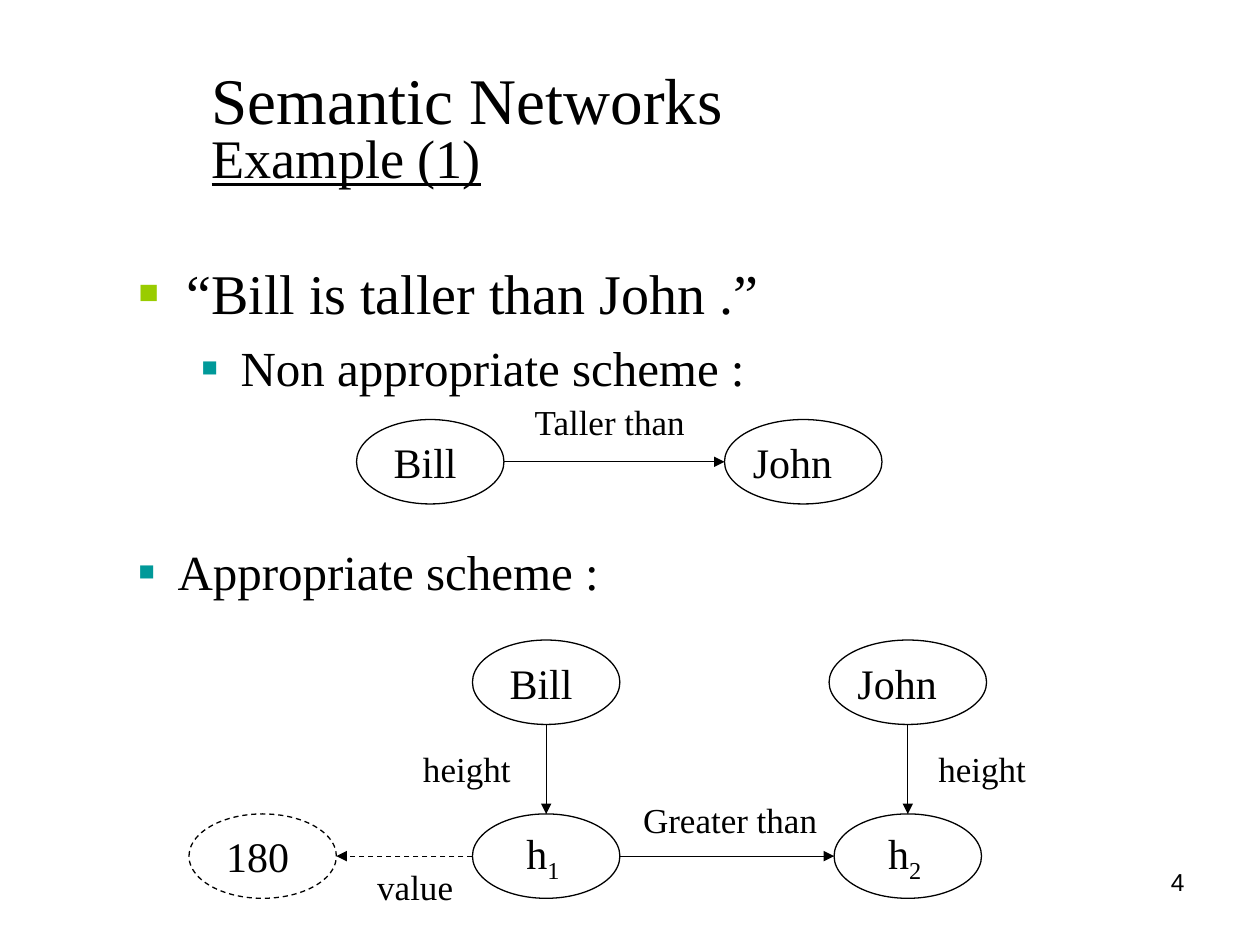
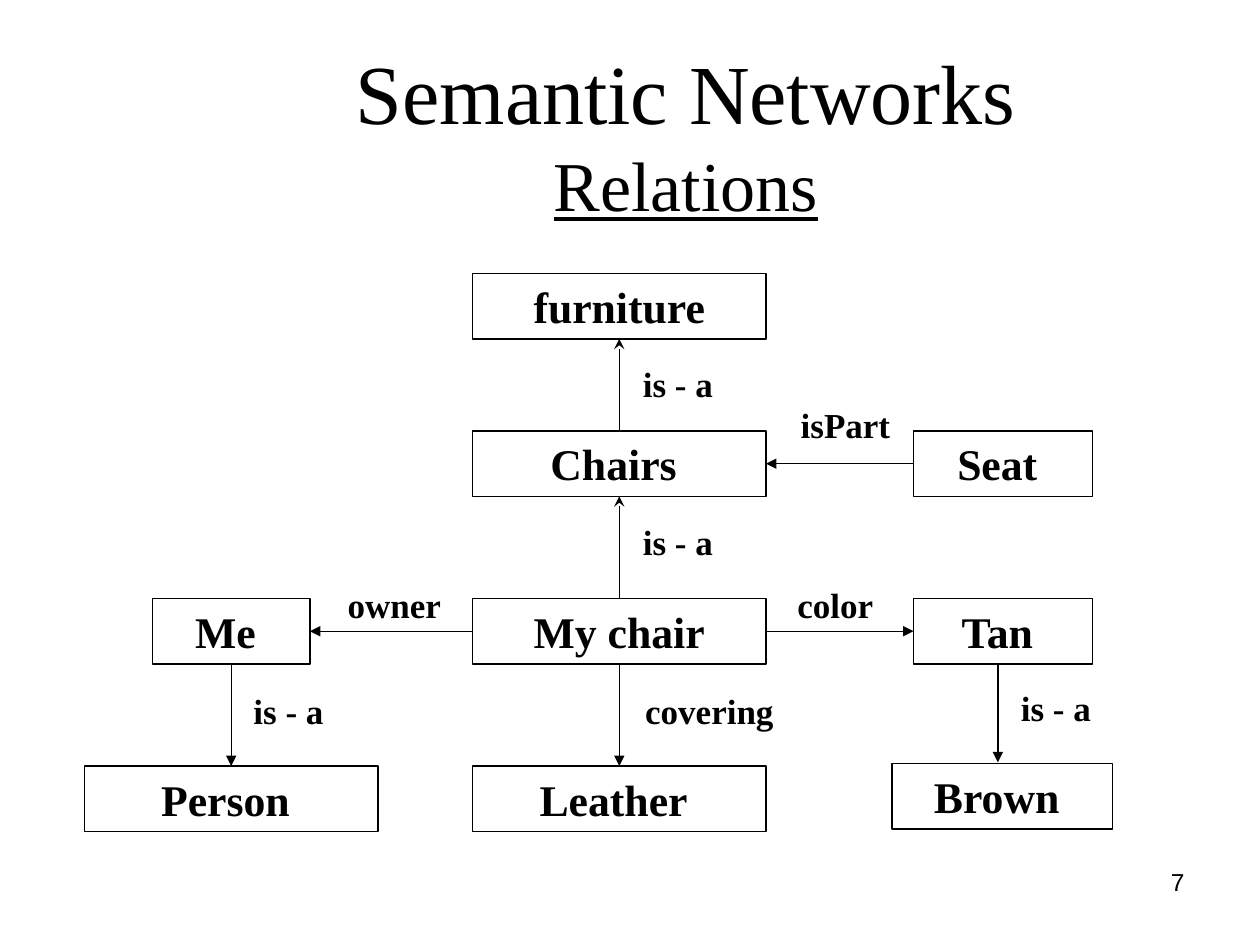
"""Builds two slides on semantic networks: an example and a set of relations."""
from dataclasses import dataclass
from typing import Any

from lxml import etree
from pptx import Presentation
from pptx.dml.color import RGBColor
from pptx.enum.dml import MSO_LINE
from pptx.enum.shapes import MSO_CONNECTOR, MSO_SHAPE
from pptx.enum.text import MSO_ANCHOR, MSO_AUTO_SIZE, PP_ALIGN
from pptx.oxml.ns import qn
from pptx.util import Inches, Pt

ELLIPSE, RECTANGLE = MSO_SHAPE.OVAL, MSO_SHAPE.RECTANGLE
STRAIGHT, DASH = MSO_CONNECTOR.STRAIGHT, MSO_LINE.DASH
LEFT_ALIGN, CENTER, RIGHT_ALIGN = PP_ALIGN.LEFT, PP_ALIGN.CENTER, PP_ALIGN.RIGHT
TOP_ANCHOR, MIDDLE = MSO_ANCHOR.TOP, MSO_ANCHOR.MIDDLE
TOP, LEFT, BOTTOM, RIGHT = range(4)
TWO_CONTENT, TITLE_ONLY = 3, 5


@dataclass(frozen=True)
class Theme:
    """Colours, fonts and type sizes of the deck."""
    ink: str = "000000"
    first_bullet: str = "99CC00"
    second_bullet: str = "009999"
    serif: str = "Times New Roman"
    sans: str = "Arial"
    ellipse_text: float = 24
    box_text: float = 25
    label_text: float = 20
    number_text: float = 14
    line_width: float = 0.75


@dataclass(frozen=True)
class Bullet:
    """A bulleted line with its level's look."""
    text: str
    level: int
    size: float
    before: float
    margin: float
    hang: float
    color: str
    percent: int


@dataclass(frozen=True)
class Node:
    """A concept of the network; gap is extra room right of its text."""
    text: str
    left: float
    top: float
    width: float
    height: float
    gap: float = 0
    sub: str = ""
    kind: Any = ELLIPSE
    dashed: bool = False

    def side(self, index: int) -> tuple[float, float]:
        """Return the middle of one side."""
        x, y = self.left + self.width / 2, self.top + self.height / 2
        return ((x, self.top), (self.left, y),
                (x, self.top + self.height), (self.left + self.width, y))[index]


@dataclass(frozen=True)
class Link:
    """An arrow between the sides of two named nodes."""
    start: str
    start_side: int
    end: str
    end_side: int
    head: str = "triangle"
    dashed: bool = False


@dataclass(frozen=True)
class Label:
    """The caption of an arrow."""
    text: str
    left: float
    top: float
    gap: float = 0


THEME = Theme()


def assign(target: Any, values: dict[str, Any]) -> None:
    """Set several attributes at once."""
    for key, value in values.items():
        setattr(target, key, value)


def add_run(paragraph: Any, text: str, size: float, font: str = THEME.serif, **style: Any) -> Any:
    """Add a styled run."""
    run = paragraph.add_run()
    run.text = text
    assign(run.font, {"name": font, "size": Pt(size), **style})
    run.font.color.rgb = RGBColor.from_string(THEME.ink)
    return run


def set_frame(frame: Any, anchor: Any = TOP_ANCHOR, left: float = 0.1, right: float = 0.1) -> None:
    """Give a text frame its insets, anchor and wrapping."""
    assign(frame, {"word_wrap": True, "auto_size": MSO_AUTO_SIZE.NONE, "vertical_anchor": anchor,
                   "margin_left": Inches(left), "margin_right": Inches(right),
                   "margin_top": Inches(0.05), "margin_bottom": Inches(0.05)})


def place(shape: Any, left: float, top: float, width: float, height: float) -> None:
    """Move and size a placeholder."""
    assign(shape, {"left": Inches(left), "top": Inches(top),
                   "width": Inches(width), "height": Inches(height)})


def style_line(line: Any, dashed: bool) -> None:
    """Give an outline the deck's stroke."""
    line.color.rgb = RGBColor.from_string(THEME.ink)
    line.width = Pt(THEME.line_width)
    if dashed:
        line.dash_style = DASH


def add_title(slide: Any, topic: str, area: tuple[float, ...], sizes: tuple[float, float],
              align: Any, spacing: float) -> None:
    """Fill the title with the subject and an underlined topic."""
    title = slide.shapes.title
    place(title, *area)
    set_frame(title.text_frame, MIDDLE)
    paragraph = title.text_frame.paragraphs[0]
    assign(paragraph, {"alignment": align, "line_spacing": spacing})
    add_run(paragraph, "Semantic Networks", sizes[0])
    paragraph.add_line_break()
    etree.SubElement(paragraph._p[-1], qn("a:rPr"), sz=str(round(sizes[0] * 100)))
    add_run(paragraph, topic, sizes[1], underline=True)


def add_bullets(body: Any, area: tuple[float, ...], bullets: list[Bullet]) -> None:
    """Fill a body placeholder with bulleted lines."""
    place(body, *area)
    frame = body.text_frame
    set_frame(frame)
    for index, bullet in enumerate(bullets):
        paragraph = frame.add_paragraph() if index else frame.paragraphs[0]
        assign(paragraph, {"level": bullet.level, "space_before": Pt(bullet.before)})
        properties = paragraph._p.get_or_add_pPr()
        properties.set("marL", str(Inches(bullet.margin)))
        properties.set("indent", str(-Inches(bullet.hang)))
        color = etree.SubElement(properties, qn("a:buClr"))
        etree.SubElement(color, qn("a:srgbClr"), val=bullet.color)
        etree.SubElement(properties, qn("a:buSzPct"), val=str(bullet.percent * 1000))
        etree.SubElement(properties, qn("a:buChar"), char="■")
        add_run(paragraph, bullet.text, bullet.size)


def add_text(slide: Any, text: str, area: tuple[float, ...], size: float, align: Any,
             font: str = THEME.serif, gap: float = 0, bold: bool = False) -> None:
    """Add a one-line text box."""
    box = slide.shapes.add_textbox(*map(Inches, area))
    set_frame(box.text_frame, right=0.1 + gap)
    paragraph = box.text_frame.paragraphs[0]
    paragraph.alignment = align
    add_run(paragraph, text, size, font, bold=bold)


def add_node(slide: Any, node: Node) -> Any:
    """Draw a concept as an ellipse or a box."""
    shape = slide.shapes.add_shape(
        node.kind, *map(Inches, (node.left, node.top, node.width, node.height)))
    shape.shadow.inherit = False
    shape.fill.background()
    style_line(shape.line, node.dashed)
    boxed = node.kind == RECTANGLE
    set_frame(shape.text_frame, TOP_ANCHOR if boxed else MIDDLE, 0, node.gap)
    paragraph = shape.text_frame.paragraphs[0]
    paragraph.alignment = CENTER
    size = THEME.box_text if boxed else THEME.ellipse_text
    add_run(paragraph, node.text, size, bold=boxed)
    if node.sub:
        index = add_run(paragraph, node.sub, size)
        index._r.get_or_add_rPr().set("baseline", "-25000")
    return shape


def add_arrow(slide: Any, start: tuple[float, float], end: tuple[float, float],
              head: str = "triangle", dashed: bool = False) -> Any:
    """Draw a straight arrow."""
    arrow = slide.shapes.add_connector(STRAIGHT, *map(Inches, (*start, *end)))
    style_line(arrow.line, dashed)
    properties = arrow.element.spPr
    etree.SubElement(properties.find(qn("a:ln")), qn("a:tailEnd"), type=head)
    etree.SubElement(properties, qn("a:effectLst"))
    return arrow


def add_network(slide: Any, nodes: dict[str, Node], links: list[Link], labels: list[Label],
                label_width: float, bold: bool = False) -> None:
    """Draw concepts, their arrows and the arrows' captions."""
    shapes = {key: add_node(slide, node) for key, node in nodes.items()}
    for link in links:
        start, end = nodes[link.start], nodes[link.end]
        arrow = add_arrow(slide, start.side(link.start_side), end.side(link.end_side),
                          link.head, link.dashed)
        if start.kind == end.kind == RECTANGLE:
            arrow.begin_connect(shapes[link.start], link.start_side)
            arrow.end_connect(shapes[link.end], link.end_side)
    for label in labels:
        add_text(slide, label.text, (label.left, label.top, label_width, 0.44),
                 THEME.label_text, CENTER, gap=label.gap, bold=bold)


def add_number(slide: Any, number: int) -> None:
    """Write the slide number at the lower right."""
    add_text(slide, str(number), (7.17, 6.83, 2.33, 0.52), THEME.number_text, RIGHT_ALIGN, THEME.sans)


def ellipse(text: str, left: float, top: float, width: float = 1.17, gap: float = 0.08,
            sub: str = "", dashed: bool = False) -> Node:
    """Describe an ellipse concept."""
    return Node(text, left, top, width, 0.67, gap, sub, dashed=dashed)


def box(text: str, left: float, top: float, width: float = 2.33, gap: float = 0.09) -> Node:
    """Describe a boxed concept."""
    return Node(text, left, top, width, 0.52, gap, kind=RECTANGLE)


def build_example(deck: Any) -> None:
    """Build the example of Bill and John."""
    slide = deck.slides.add_slide(deck.slide_layouts[TWO_CONTENT])
    add_number(slide, 4)
    add_title(slide, "Example (1)", (1.58, 0.42, 6.5, 1.25), (37.2, 31), LEFT_ALIGN, 0.8)

    def scheme(text: str) -> Bullet:
        """Describe a second-level line."""
        return Bullet(text, 1, 28, 7, 0.81, 0.31, THEME.second_bullet, 55)

    statement = Bullet("“Bill is taller than John .”", 0, 32, 8, 0.38, 0.38, THEME.first_bullet, 60)
    add_bullets(slide.placeholders[1], (1, 2, 9, 1.42),
                [statement, scheme("Non appropriate scheme :")])
    add_bullets(slide.placeholders[2], (0.5, 4.25, 9, 0.58), [scheme("Appropriate scheme :")])

    direct_top, people_top, heights_top = 3.33, 5.08, 6.46
    add_network(slide,
                {"bill": ellipse("Bill", 2.83, direct_top),
                 "john": ellipse("John", 5.75, direct_top, 1.25, 0.17)},
                [Link("bill", RIGHT, "john", LEFT)],
                [Label("Taller than", 4, 3.13, 0.07)], 1.75)
    add_network(slide,
                {"bill": ellipse("Bill", 3.75, people_top),
                 "john": ellipse("John", 6.58, people_top, 1.25, 0.17),
                 "h1": ellipse("h", 3.75, heights_top, gap=0.05, sub="1"),
                 "h2": ellipse("h", 6.62, heights_top, gap=0.05, sub="2"),
                 "180": ellipse("180", 1.5, heights_top, dashed=True)},
                [Link("bill", BOTTOM, "h1", TOP), Link("john", BOTTOM, "h2", TOP),
                 Link("h1", RIGHT, "h2", LEFT), Link("h1", LEFT, "180", RIGHT, dashed=True)],
                [Label("height", 2.83, 5.88), Label("height", 6.92, 5.88),
                 Label("Greater than", 4.92, 6.29), Label("value", 2.42, 6.82)], 1.75)


def build_relations(deck: Any) -> None:
    """Build the network of relations around a chair."""
    slide = deck.slides.add_slide(deck.slide_layouts[TITLE_ONLY])
    add_number(slide, 7)
    add_title(slide, "Relations", (1.26, 0.27, 8.37, 1.57), (48, 40), CENTER, 1.0)
    middle, right = 3.75, 7.25
    kinds_top, chair_top, values_top = 3.42, 4.75, 6.08
    add_network(slide,
                {"furniture": box("furniture", middle, 2.17, gap=0),
                 "chairs": box("Chairs", middle, kinds_top),
                 "seat": box("Seat", right, kinds_top, 1.42),
                 "me": box("Me", 1.21, chair_top, 1.25),
                 "chair": box("My chair", middle, chair_top, gap=0),
                 "tan": box("Tan", right, chair_top, 1.42),
                 "person": box("Person", 0.67, values_top),
                 "leather": box("Leather", middle, values_top),
                 "brown": box("Brown", 7.08, 6.06, 1.75)},
                [Link("chairs", TOP, "furniture", BOTTOM, "stealth"),
                 Link("chair", TOP, "chairs", BOTTOM, "stealth"),
                 Link("seat", LEFT, "chairs", RIGHT), Link("chair", RIGHT, "tan", LEFT),
                 Link("chair", LEFT, "me", RIGHT), Link("chair", BOTTOM, "leather", TOP),
                 Link("me", BOTTOM, "person", TOP)],
                [Label("is - a", 4.67, 2.83), Label("is - a", 4.67, 4.08),
                 Label("isPart", 6, 3.15), Label("is - a", 7.67, 5.4),
                 Label("is - a", 1.58, 5.42), Label("owner", 2.42, 4.58),
                 Label("covering", 4.92, 5.42), Label("color", 5.92, 4.58)], 1.42, bold=True)
    add_arrow(slide, (7.92, 5.28), (7.92, 6.05))


def main() -> None:
    """Build and save the deck."""
    deck = Presentation()
    assign(deck, {"slide_width": Inches(10), "slide_height": Inches(7.5)})
    build_example(deck)
    build_relations(deck)
    deck.save("out.pptx")


if __name__ == "__main__":
    main()
